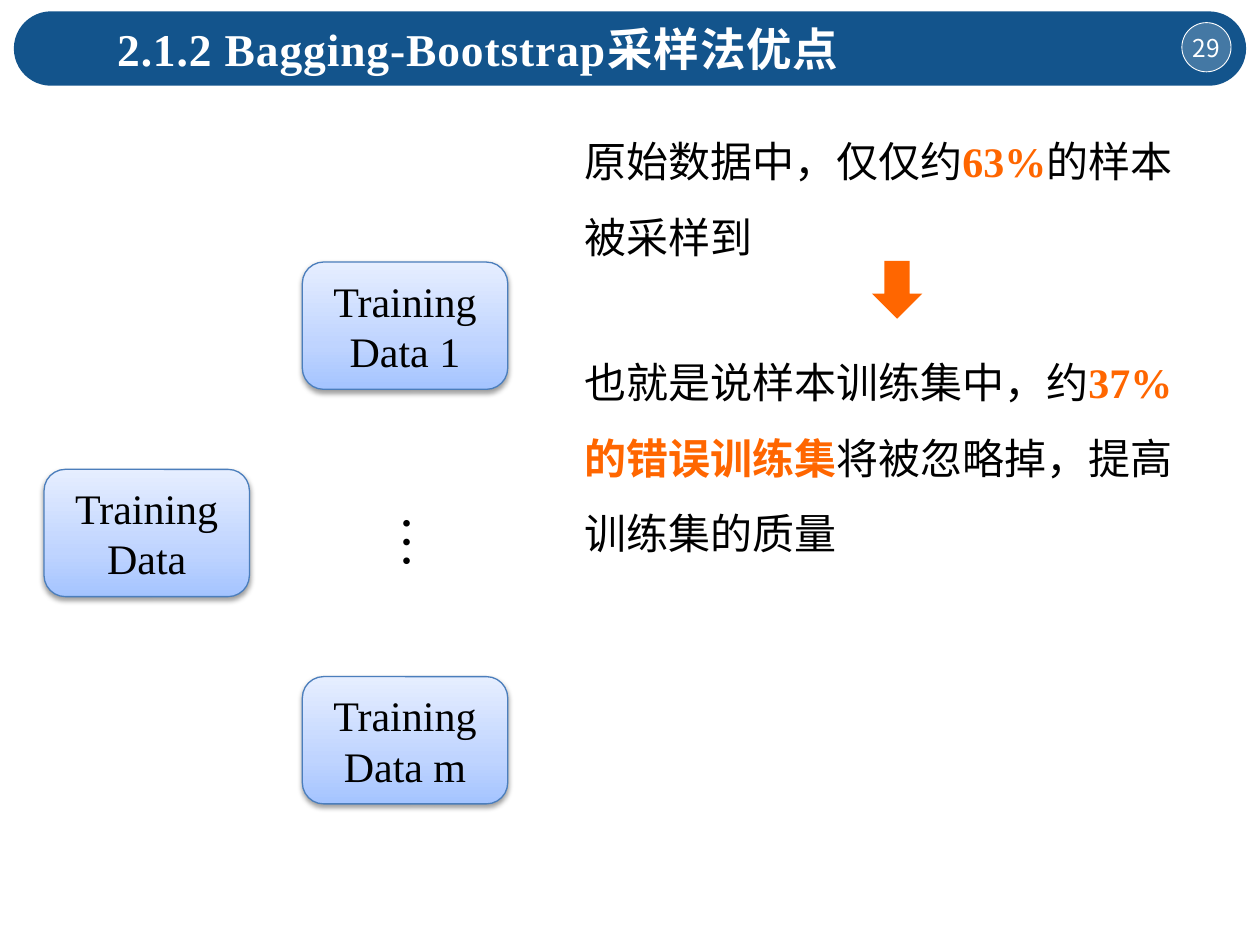
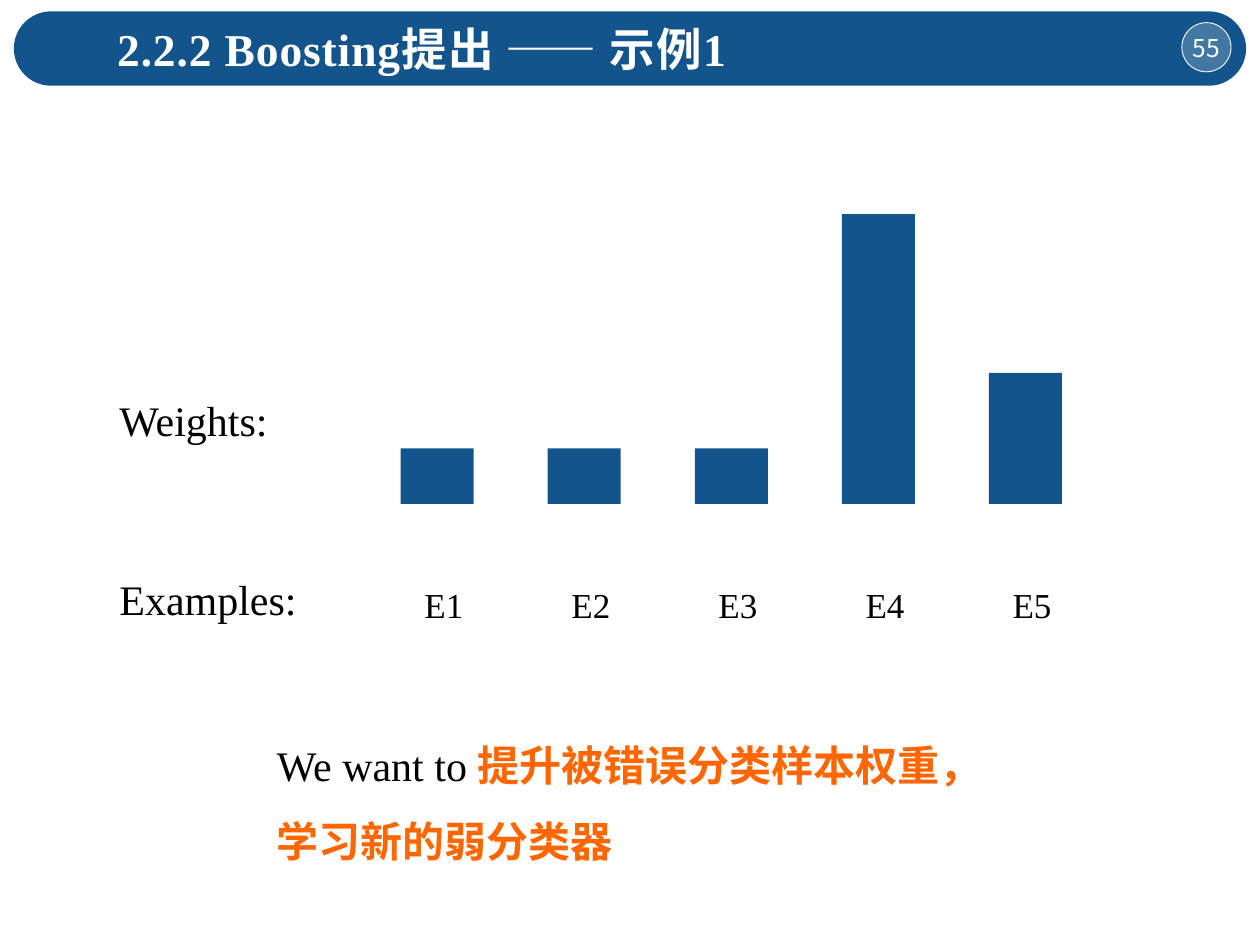
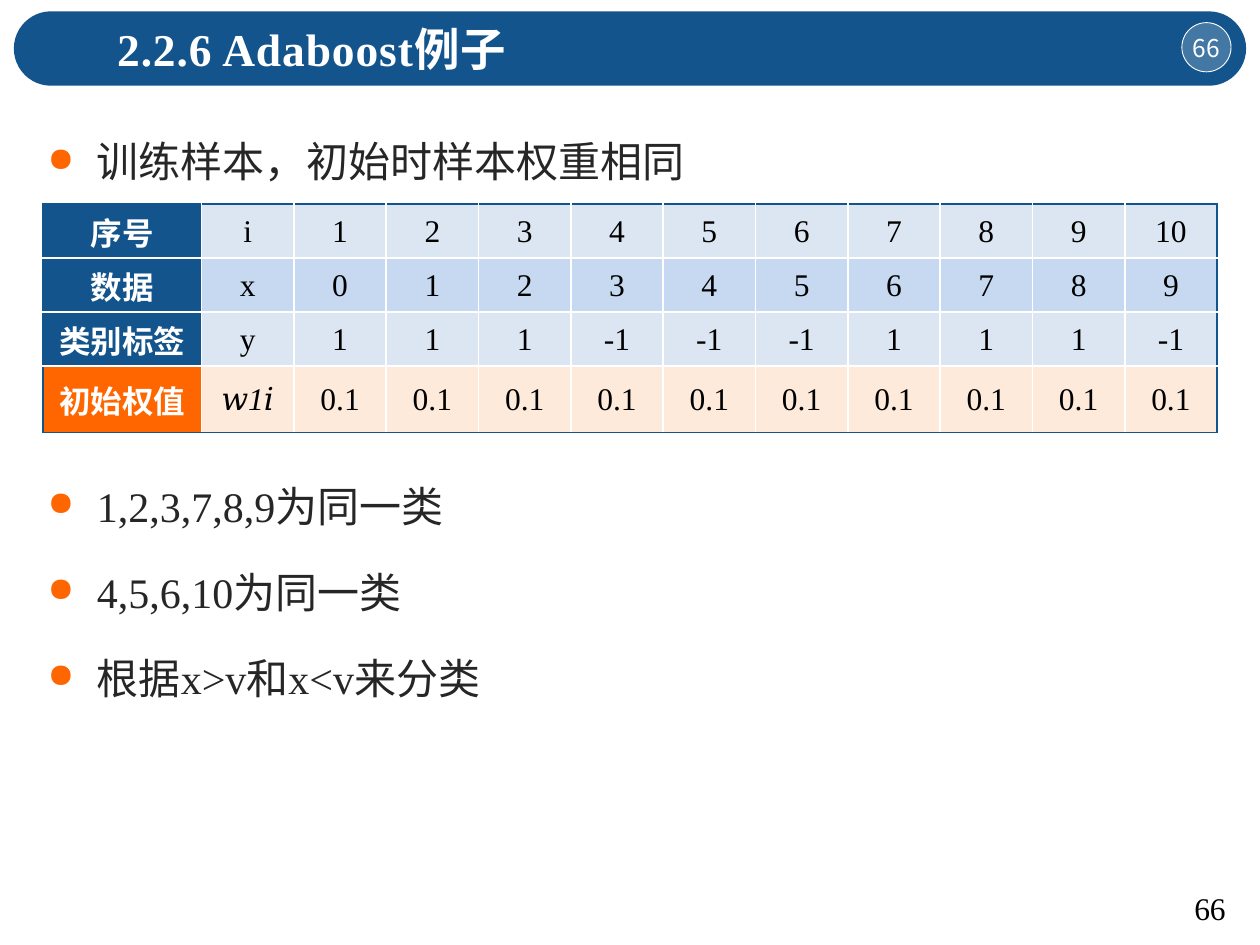
from lxml.etree import SubElement
from pptx import Presentation
from pptx.dml.color import RGBColor as RGB
from pptx.enum.shapes import MSO_SHAPE as KIND
from pptx.enum.text import MSO_ANCHOR as ANCHOR, PP_ALIGN as ALIGN
from pptx.oxml import parse_xml
from pptx.oxml.ns import nsdecls, qn
from pptx.util import Inches, Pt

HEX = {
    "blue": "13548C", "orange": "FF6600", "white": "FFFFFF", "black": "000000",
    "ink": "262626", "edge": "4B7EBC", "pale": "DCE6F2", "sky": "C6D9F1",
    "peach": "FDEADA",
}
LATIN, HAN = "Times New Roman", "Noto Sans CJK SC"

deck = Presentation()
deck.slide_width, deck.slide_height = Inches(10), Inches(7.5)
COL, ROW = deck.slide_width / 100, deck.slide_height / 75
layout = deck.slide_layouts[5]


def draw(slide, kind, x, y, w, h, fill=None, line=None, width=0.75):
    """Add a preset shape, or a text box if kind is None, in grid units."""
    area = [int(v) for v in (x * COL, y * ROW, w * COL, h * ROW)]
    if kind is None:
        box = slide.shapes.add_textbox(*area)
        box.text_frame.word_wrap = True
        return box
    shape = slide.shapes.add_shape(kind, *area)
    shape.shadow.inherit = False
    if fill:
        shape.fill.solid()
        shape.fill.fore_color.rgb = RGB.from_string(HEX[fill])
    if line:
        shape.line.color.rgb = RGB.from_string(HEX[line])
        shape.line.width = Pt(width)
    else:
        shape.line.fill.background()
    return shape


def write(frame, paras, size=24, color="black", bold=False, italic=False,
          align=ALIGN.LEFT, font=LATIN, **spacing):
    """Fill a frame; a run is plain text, or (text,) for an orange bold one."""
    for n, runs in enumerate(paras):
        para = frame.add_paragraph() if n else frame.paragraphs[0]
        para.alignment = align
        for name, value in spacing.items():
            setattr(para, name, value)
        for part in [runs] if isinstance(runs, str) else runs:
            key = isinstance(part, tuple)
            run = para.add_run()
            run.text = part[0] if key else part
            style = {"name": font, "size": Pt(size), "bold": bold or key,
                     "italic": italic}
            for name, value in style.items():
                setattr(run.font, name, value)
            run.font.color.rgb = RGB.from_string(HEX["orange" if key else color])
            SubElement(run.font._element, qn("a:ea"), typeface=HAN)


# Shared title bar and page badge
titles = [
    ("2.1.2 Bagging-Bootstrap采样法优点", "29"),
    ("2.2.2 Boosting提出 —— 示例1", "55"),
    ("2.2.6 Adaboost例子", "66"),
]
slides = []
for text, page in titles:
    slide = deck.slides.add_slide(layout)
    slides.append(slide)
    title = slide.shapes.title
    place = {"left": 8.3 * COL, "top": 1.2 * ROW,
             "width": 74.2 * COL, "height": 5.4 * ROW}
    for name, value in place.items():
        setattr(title, name, int(value))
    title.text_frame.vertical_anchor = ANCHOR.TOP
    write(title.text_frame, [text], 26, "white", True)
    title.text_frame.paragraphs[0].runs[0].font._element.set("spc", "50")

    badge = draw(slide, KIND.OVAL, 93.8, 1.8, 3.9, 3.9, "white", "white", 0.5)
    tint = badge._element.spPr.find(".//" + qn("a:srgbClr"))
    SubElement(tint, qn("a:alpha"), val="21000")
    frame = badge.text_frame
    for side in ("left", "right", "top", "bottom"):
        setattr(frame, "margin_" + side, 0)
    frame.word_wrap = False
    write(frame, [page], 14, "white", align=ALIGN.CENTER, font=HAN)

band = draw(slides[0], KIND.ROUNDED_RECTANGLE, 1.1, 0.9, 97.8, 5.9, "blue")
band.adjustments[0] = 0.5
layout.shapes._spTree.insert(2, band._element)

# Bagging: training sets and the share of samples drawn
slide = slides[0]
dots = draw(slide, None, 30.6, 39.9, 6.5, 6.4)
dots.rotation = 90
dots.text_frame.word_wrap = False
write(dots.text_frame, ["…"], 32)

stops = "".join(
    f'<a:gs pos="{pos}000"><a:srgbClr val="{tone}"/></a:gs>'
    for pos, tone in ((0, "A4C4FF"), (35, "BFD4FF"), (100, "E6EEFF")))
for x, y, name in ((24, 20.8, "Data 1"), (24, 53.7, "Data m"), (3.5, 37.25, "Data")):
    card = draw(slide, KIND.ROUNDED_RECTANGLE, x, y, 16.3, 10.1, line="edge")
    props = card._element.spPr
    props.insert(2, parse_xml(
        f'<a:gradFill {nsdecls("a")} rotWithShape="1"><a:gsLst>{stops}</a:gsLst>'
        '<a:lin ang="16200000" scaled="0"/></a:gradFill>'))
    shade = SubElement(props.find(qn("a:effectLst")), qn("a:outerShdw"),
                       blurRad=str(Pt(3.1)), dist=str(Pt(1.6)), dir="5400000",
                       rotWithShape="0")
    tone = SubElement(shade, qn("a:srgbClr"), val=HEX["black"])
    SubElement(tone, qn("a:alpha"), val="38000")
    write(card.text_frame, ["Training", name], align=ALIGN.CENTER)

points = [
    (8.3, 12.4, ["原始数据中，仅仅约", ("63%",), "的样本被采样到"]),
    (25.8, 18.5, ["也就是说样本训练集中，约", ("37%的错误训练集",),
                  "将被忽略掉，提高训练集的质量"]),
]
for y, h, runs in points:
    write(draw(slide, None, 45.4, y, 51.7, h).text_frame, [runs], line_spacing=1.5)
draw(slide, KIND.DOWN_ARROW, 69.2, 20.7, 4, 4.6, "orange")

# Boosting: example weights as bars on one base line
slide = slides[1]
STEP, BASE = 11.67, 40
for n, tall in enumerate((4.4, 4.4, 4.4, 23, 10.4)):
    draw(slide, KIND.RECTANGLE, 31.8 + n * STEP, BASE - tall, 5.8, tall, "blue")
    label = draw(slide, None, 32.7 + n * STEP, 45.8, 10.8, 4.4)
    write(label.text_frame, [f"E{n + 1}"], 20)
for y, name in ((30.8, "Weights:"), (45, "Examples:")):
    write(draw(slide, None, 8.5, y, 20, 5).text_frame, [name])
goal = draw(slide, None, 21, 56.2, 58, 12.4)
write(goal.text_frame,
      [["We want to ", ("提升被错误分类样本权重，学习新的弱分类器",)]],
      line_spacing=1.5)

# Adaboost: sample table between bullets
slide = slides[2]
notes = draw(slide, None, 2.8, 8.3, 90, 47.8).text_frame
write(notes, ["训练样本，初始时样本权重相同", "1,2,3,7,8,9为同一类",
              "4,5,6,10为同一类", "根据x>v和x<v来分类"],
      color="ink", align=ALIGN.JUSTIFY, line_spacing=1.5)
TABLE_GAP = 153.4
for para, gap in zip(notes.paragraphs, (0, TABLE_GAP, 6, 6)):
    para.space_before = Pt(gap)
    props = para._element.get_or_add_pPr()
    props.set("marL", str(Inches(0.39)))
    props.set("indent", str(-Inches(0.39)))
    tone = SubElement(props, qn("a:buClr"))
    SubElement(tone, qn("a:srgbClr"), val=HEX["orange"])
    SubElement(props, qn("a:buSzPct"), val="80000")
    SubElement(props, qn("a:buChar"), char="●")

rows = [
    ("序号", "i", range(1, 11), "blue", "pale", 4.28),
    ("数据", "x", range(10), "blue", "sky", 4.28),
    ("类别标签", "y", [1] * 3 + [-1] * 3 + [1] * 3 + [-1], "blue", "pale", 4.28),
    ("初始权值", "𝑤1𝑖", [0.1] * 10, "orange", "peach", 5.28),
]
HEAD, WIDE = 12.6, 93.2
area = (3.4 * COL, 16.2 * ROW, WIDE * COL, 18.1 * ROW)
table = slide.shapes.add_table(4, 12, *map(int, area)).table
table.first_row = table.horz_banding = False
for c, column in enumerate(table.columns):
    column.width = int(COL * ((WIDE - HEAD) / 11 if c else HEAD))
for r, (name, sign, values, dark, light, tall) in enumerate(rows):
    table.rows[r].height = int(tall * ROW)
    for c, value in enumerate([name, sign, *values]):
        cell = table.cell(r, c)
        cell.vertical_anchor = ANCHOR.MIDDLE
        for side in ("left", "right", "top"):
            setattr(cell, "margin_" + side, Inches(0.01))
        cell.margin_bottom = 0
        cell.fill.solid()
        cell.fill.fore_color.rgb = RGB.from_string(HEX[light if c else dark])
        write(cell.text_frame, [str(value)], 18, "black" if c else "white",
              bold=c == 0, italic=value == "𝑤1𝑖", align=ALIGN.CENTER)
        outer = {"L": c == 0, "R": c == 11, "T": r == 0, "B": r == 3}
        for n, (side, rim) in enumerate(outer.items()):
            tone = HEX["blue" if rim else "white"]
            cell._tc.get_or_add_tcPr().insert(n, parse_xml(
                f'<a:ln{side} {nsdecls("a")} w="{Pt(1)}"><a:solidFill>'
                f'<a:srgbClr val="{tone}"/></a:solidFill></a:ln{side}>'))

write(draw(slide, None, 93.8, 70.1, 6.2, 4).text_frame, ["66"], 18)

deck.save("out.pptx")
